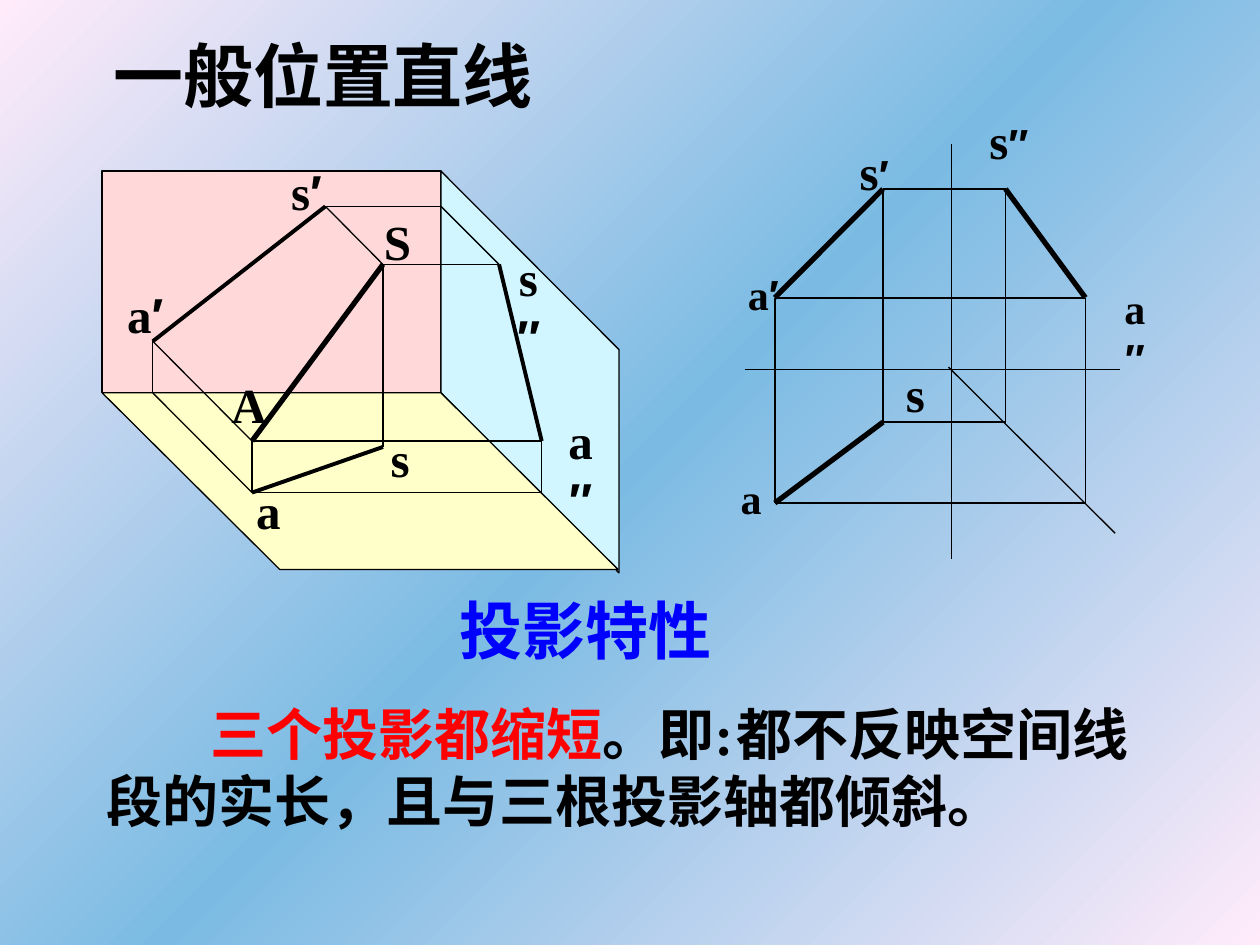
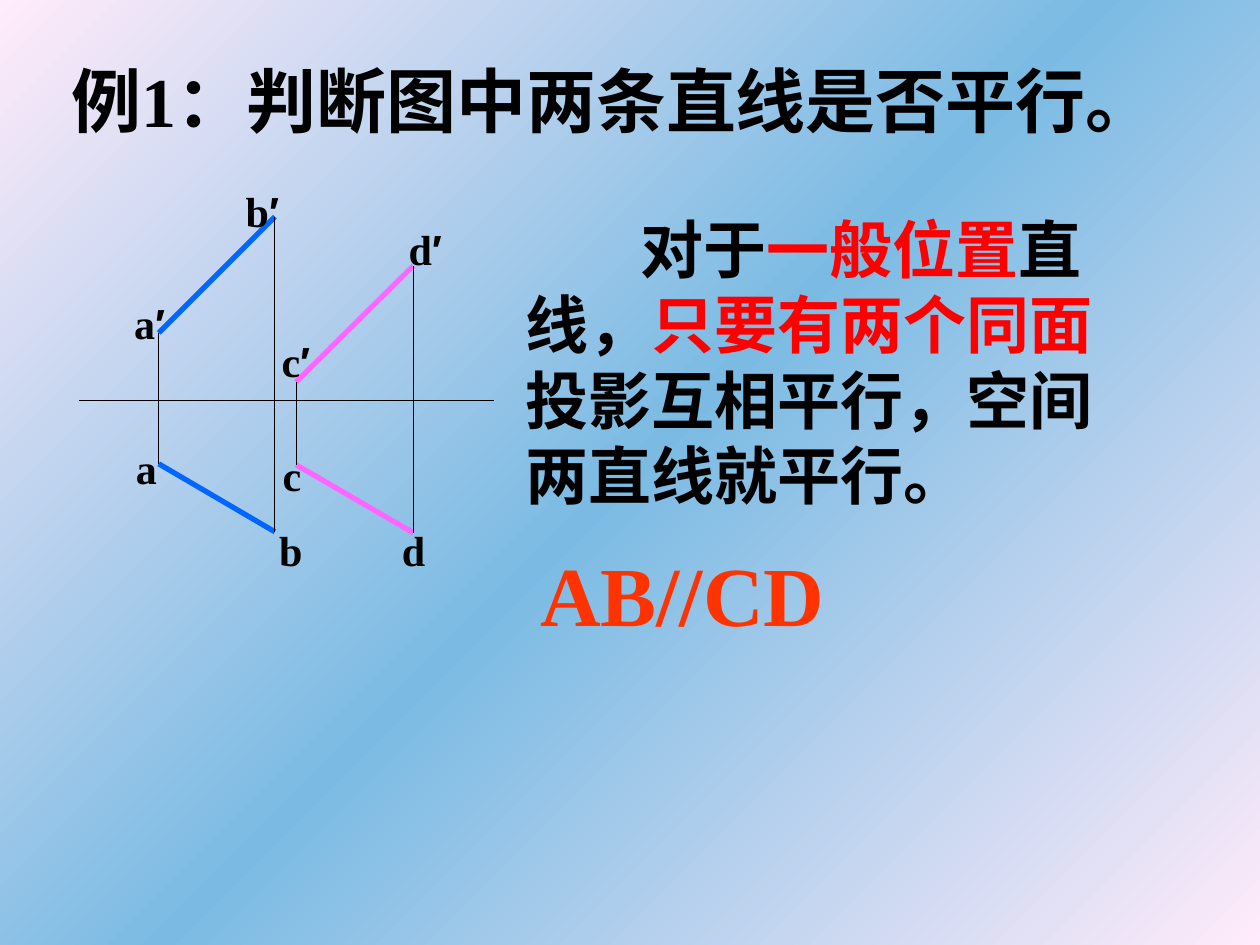
from lxml import etree
from copy import deepcopy
from pptx import Presentation
from pptx.dml.color import RGBColor
from pptx.enum.shapes import MSO_CONNECTOR, MSO_SHAPE
from pptx.enum.text import MSO_ANCHOR, MSO_AUTO_SIZE, PP_ALIGN
from pptx.oxml.ns import qn
from pptx.util import Cm, Pt

# Shared look
BLACK = RGBColor(0, 0, 0)
RED = RGBColor(0xFF, 0, 0)
BLUE = RGBColor(0, 0, 0xFF)
ORANGE = RGBColor(0xFF, 0x33, 0)
LINE_BLUE = RGBColor(0, 0x66, 0xFF)
LINE_PINK = RGBColor(0xFF, 0x66, 0xFF)
FRONT_FILL = RGBColor(0xFF, 0xD9, 0xD9)
SIDE_FILL = RGBColor(0xD1, 0xF6, 0xFF)
FLOOR_FILL = RGBColor(0xFF, 0xFF, 0xC9)
EDGE_PINK = RGBColor(0xFF, 0xEB, 0xFA)
MIDDLE_BLUE = RGBColor(0x7B, 0xBB, 0xE3)
SERIF, SANS, CJK = "Times New Roman", "Arial", "Noto Sans CJK SC"
STRAIGHT = MSO_CONNECTOR.STRAIGHT
RECTANGLE = MSO_SHAPE.RECTANGLE
MIDDLE, TOP = MSO_ANCHOR.MIDDLE, MSO_ANCHOR.TOP
LEFT, CENTER = PP_ALIGN.LEFT, PP_ALIGN.CENTER
NO_FIT = MSO_AUTO_SIZE.NONE
LAYOUT_TITLE_BODY = 1
PRIMES = "′″"


def paint_background(master):
    fill = master.background.fill
    fill.gradient()
    fill.gradient_angle = 135
    stop_list = master.element.find(".//" + qn("a:gsLst"))
    stop_list.append(deepcopy(stop_list[-1]))
    colors = (EDGE_PINK, MIDDLE_BLUE, EDGE_PINK)
    for index, (stop, color) in enumerate(zip(fill.gradient_stops, colors)):
        stop.position = index / 2
        stop.color.rgb = color


def place(box, left, top, width, height):
    box.left, box.top, box.width, box.height = map(Cm, (left, top, width, height))


def write(box, spans, size, font=SERIF, wrap=True, indent=0, tab=None):
    """Fill a box with one bold paragraph of (text, colour) spans."""
    frame = box.text_frame
    frame.word_wrap, frame.auto_size = wrap, NO_FIT
    frame.vertical_anchor = MIDDLE
    para = frame.paragraphs[0]
    para.alignment, para.space_before = LEFT, Pt(0)
    props = para._p.get_or_add_pPr()
    props.set("marL", "0")
    props.set("indent", str(Cm(indent)))
    etree.SubElement(props, qn("a:buNone"))
    if tab:
        tabs = etree.SubElement(props, qn("a:tabLst"))
        etree.SubElement(tabs, qn("a:tab"), pos=str(Cm(tab)), algn="l")
    para.font.name, para.font.size, para.font.bold = font, Pt(size), True
    etree.SubElement(props.find(qn("a:defRPr")), qn("a:ea"), typeface=CJK)
    for text, color in spans:
        span = para.add_run()
        span.text = text
        span.font.color.rgb = color


def add_text(page, area, text, size, color, wrap=True):
    box = page.shapes.add_textbox(0, 0, 0, 0)
    place(box, *area)
    write(box, [(text, color)], size, wrap=wrap)


class Drawing:
    """A figure whose parts are placed in cm from its top left corner."""

    def __init__(self, shapes, left, top):
        self.shapes, self.left, self.top = shapes, left, top

    def spot(self, x, y):
        return Cm(self.left + x), Cm(self.top + y)

    def line(self, start, end, width=0.75, color=BLACK):
        line = self.shapes.add_connector(STRAIGHT, *self.spot(*start), *self.spot(*end))
        line.line.width, line.line.color.rgb = Pt(width), color
        etree.SubElement(line._element.spPr, qn("a:effectLst"))

    def join(self, points, pairs, width=0.75, color=BLACK):
        for pair in pairs.split():
            start, end = pair.split("-")
            self.line(points[start], points[end], width, color)

    def finish_plane(self, plane, color):
        plane.shadow.inherit = False
        plane.fill.solid()
        plane.fill.fore_color.rgb = color
        plane.line.color.rgb, plane.line.width = BLACK, Pt(0.75)

    def outline(self, corners, color):
        spots = [self.spot(*corner) for corner in corners]
        builder = self.shapes.build_freeform(*spots[0], scale=1.0)
        builder.add_line_segments(spots[1:], close=True)
        self.finish_plane(builder.convert_to_shape(), color)

    def label(self, text, left, top, width, size, prime_size=None, stacked=False):
        height = 1.45 if size == 28 else 1.27
        box = self.shapes.add_textbox(*self.spot(left, top), Cm(width), Cm(height))
        frame = box.text_frame
        frame.word_wrap = stacked
        frame.vertical_anchor = TOP if stacked else MIDDLE
        para = frame.paragraphs[0]
        para.alignment = CENTER
        para.font.bold, para.font.color.rgb = True, BLACK
        for letter in text:
            is_prime = letter in PRIMES
            span = para.add_run()
            span.text = letter
            span.font.name = SANS if is_prime else SERIF
            span.font.size = Pt(prime_size or size) if is_prime else Pt(size)


def draw_space_view(page, left, top):
    """Three projection planes with the line SA in space."""
    view = Drawing(page.shapes.add_group_shape().shapes, left, top)
    # Planes
    fold_x, fold_y = 6.83, 4.47
    front = view.shapes.add_shape(RECTANGLE, *view.spot(0, 0), Cm(fold_x), Cm(fold_y))
    view.finish_plane(front, FRONT_FILL)
    view.outline([(10.42, 8.1), (10.42, 3.6), (fold_x, 0), (fold_x, fold_y)], SIDE_FILL)
    view.outline([(0, fold_y), (fold_x, fold_y), (10.4, 8.03), (3.58, 8.03)], FLOOR_FILL)
    # Lines
    points = {
        "S": (5.66, 1.88), "A": (3.02, 5.44),
        "s′": (4.5, 0.71), "a′": (1.02, 3.43),
        "s": (5.66, 5.56), "a": (3.02, 6.48),
        "s″": (8, 1.88), "a″": (8.86, 5.44),
        "s_fold": (fold_x, 0.71), "a_fold": (1.02, fold_y), "a_side": (8.86, 6.48),
    }
    view.join(points, "S-s″ s″-s_fold s_fold-s′ S-s′ A-a′ a′-a_fold a_fold-a "
                      "A-a A-a″ a-a_side a_side-a″ S-s")
    view.join(points, "s′-a′ s″-a″ s-a", 2.25)
    view.join(points, "S-A", 3)
    # Labels
    for text, x, y, width in (
        ("A", 2.16, 3.96, 1.6), ("S", 5.41, 0.69, 1.09), ("s′", 3.23, -0.33, 1.78),
        ("a′", 0.03, 2.16, 1.68), ("a", 2.84, 6.1, 1.02), ("s", 5.21, 5.05, 1.6),
    ):
        view.label(text, x, y, width, 28)
    view.label("s″", 8.02, 1.42, 1.15, 28, stacked=True)
    view.label("a″", 9.02, 4.7, 1.25, 28, stacked=True)


def draw_three_views(page, left, top):
    """The unfolded projections of SA."""
    view = Drawing(page.shapes.add_group_shape().shapes, left, top)
    a_x, s_x, s_side, a_side = 0.61, 2.79, 5.26, 6.87
    points = {
        "s′": (s_x, 0.91), "s″": (s_side, 0.91),
        "a′": (a_x, 3.1), "a″": (a_side, 3.1),
        "s": (s_x, 5.61), "s_turn": (s_side, 5.61),
        "a": (a_x, 7.24), "a_turn": (a_side, 7.24),
    }
    # Axes and the 45° line
    view.line((4.17, 0), (4.17, 8.36), 1)
    view.line((0, 4.55), (7.57, 4.55))
    view.line((4.11, 4.5), (7.47, 7.85))
    # Projection lines
    view.join(points, "s′-s s″-s_turn a″-a_turn a′-a s-s_turn a′-a″ a-a_turn s′-s″", 1)
    view.join(points, "a′-s′ a″-s″ s-a", 3)
    # Labels
    for text, x, y, width, size in (
        ("s″", 4.34, -0.81, 1.98, 28), ("a", -0.33, 6.5, 0.91, 24),
        ("s", 3, 4.29, 0.89, 28), ("s′", 1.98, -0.18, 1.27, 28),
        ("a′", -0.23, 2.39, 1.22, 24),
    ):
        view.label(text, x, y, width, size, prime_size=24)
    view.label("a″", 7.32, 2.67, 1.1, 24, stacked=True)


def draw_parallel_lines(page, left, top):
    """Two views of the lines AB and CD."""
    view = Drawing(page.shapes, left, top)
    points = {
        "a′": (1.6, 3.1), "b′": (3.94, 0.76), "c′": (4.37, 4.09), "d′": (6.73, 1.75),
        "a": (1.6, 5.74), "b": (3.94, 7.11), "c": (4.37, 5.76), "d": (6.73, 7.13),
    }
    view.line((0, 4.47), (8.36, 4.47))
    view.join(points, "a′-b′ a-b", 3, LINE_BLUE)
    view.join(points, "c′-d′ c-d", 3, LINE_PINK)
    view.join(points, "a′-a b′-b c′-c d′-d")
    for text, x, y, width in (
        ("a", 0.89, 5.18, 0.91), ("b", 3.78, 6.83, 0.97),
        ("c", 3.84, 5.33, 0.89), ("d", 6.25, 6.83, 0.97),
        ("c′", 3.78, 3.02, 1.17), ("a′", 0.81, 2.26, 1.22),
        ("b′", 3.07, 0, 1.24), ("d′", 5.77, 0.76, 2.41),
    ):
        view.label(text, x, y, width, 24)


def start_page(deck, title, title_area, font=SERIF, wrap=True):
    page = deck.slides.add_slide(deck.slide_layouts[LAYOUT_TITLE_BODY])
    place(page.shapes.title, *title_area)
    write(page.shapes.title, [(title, BLACK)], 40, font, wrap)
    return page


def build_general_line(deck):
    page = start_page(deck, "一般位置直线", (2.03, 0.53, 9.8, 1.96), CJK)
    body = page.placeholders[1]
    place(body, 1.9, 13.97, 21.16, 2.97)
    spans = [("三个投影都缩短", RED),
             ("。即:\t都不反映空间线段的实长，且与三根投影轴都倾斜。", BLACK)]
    write(body, spans, 32, indent=2.08, tab=14)
    add_text(page, (9.02, 11.79, 8, 1.78), "投影特性", 36, BLUE)
    draw_space_view(page, 2.06, 3.45)
    draw_three_views(page, 15.01, 2.9)


def build_example(deck):
    page = start_page(deck, "例1：判断图中两条直线是否平行。",
                      (1.19, 1.02, 23.04, 1.96), wrap=False)
    body = page.placeholders[1]
    place(body, 10.34, 4.11, 12.12, 6.35)
    spans = [("对于", BLACK), ("一般位置", RED), ("直线，", BLACK),
             ("只要有两个同面", RED), ("投影互相平行，空间两直线就平行。", BLACK)]
    write(body, spans, 36, indent=2.32)
    add_text(page, (10.64, 10.8, 6.25, 2.29), "AB//CD", 48, ORANGE, wrap=False)
    draw_parallel_lines(page, 1.6, 3.61)


def main():
    deck = Presentation()
    deck.slide_width, deck.slide_height = Cm(25.4), Cm(19.05)
    paint_background(deck.slide_master)
    build_general_line(deck)
    build_example(deck)
    deck.save("out.pptx")


if __name__ == "__main__":
    main()
